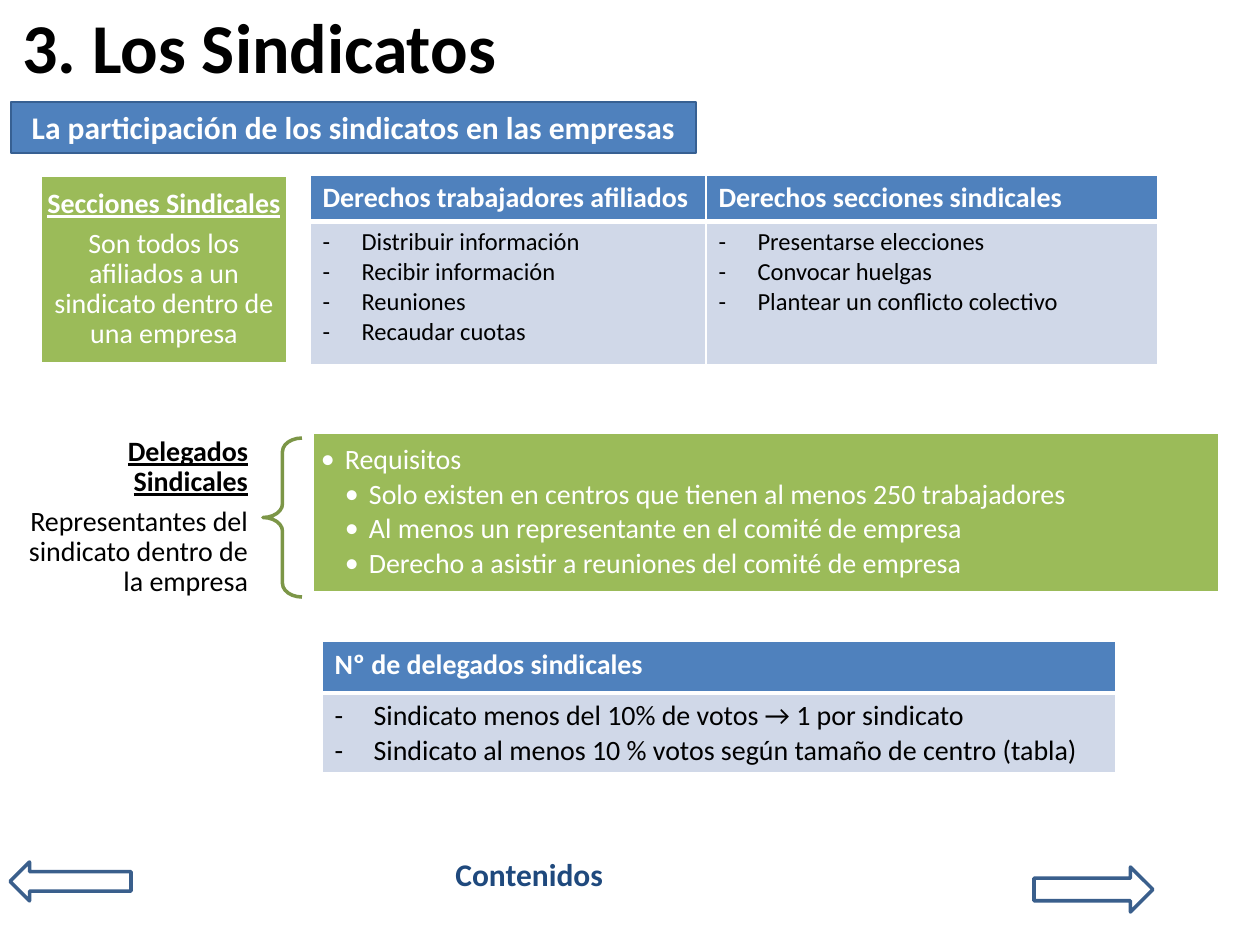
from dataclasses import dataclass

from lxml import etree
from pptx import Presentation
from pptx.dml.color import RGBColor
from pptx.enum.shapes import MSO_SHAPE
from pptx.enum.text import MSO_ANCHOR, PP_ALIGN
from pptx.oxml.ns import qn
from pptx.util import Emu, Pt

EMU_PER_PX = 914400 / 126


@dataclass(frozen=True)
class Theme:
    """Colours, font and type sizes of the slide."""
    font: str = "Calibri"
    black: str = "000000"
    white: str = "FFFFFF"
    blue: str = "4F81BD"
    blue_edge: str = "376092"
    arrow_edge: str = "3A5F8C"
    navy: str = "1F497D"
    pale: str = "D0D8E8"
    green: str = "9BBB59"
    brace: str = "7C9647"
    title: int = 40
    heading: int = 18
    body: int = 16
    small: int = 14


T = Theme()


def px(n):
    """Turn picture pixels into EMU."""
    return Emu(round(n * EMU_PER_PX))


def rgb(value):
    """Turn a hex string into a colour."""
    return RGBColor.from_string(value)


def write(frame, texts, size, color, bold=False, align=None, lead=None,
          after=None, heading=False, bullet=None, indents=()):
    """Fill a frame with paragraphs; heading makes the first bold and underlined."""
    frame.word_wrap = True
    for i, text in enumerate(texts):
        p = frame.paragraphs[0] if i == 0 else frame.add_paragraph()
        p.alignment, p.line_spacing = align, lead
        if after is not None:
            p.space_after = Pt(after)
        run = p.add_run()
        run.text = text
        font = run.font
        font.name, font.size, font.color.rgb = T.font, Pt(size), rgb(color)
        font.bold = bold or (heading and i == 0)
        font.underline = heading and i == 0
        if bullet:
            left, hang = indents[min(i, len(indents) - 1)]
            ppr = p._p.get_or_add_pPr()
            ppr.set("marL", str(px(left)))
            ppr.set("indent", str(-px(hang)))
            etree.SubElement(ppr, qn("a:buFont")).set("typeface", T.font)
            etree.SubElement(ppr, qn("a:buChar")).set("char", bullet)


def add_text(slide, box, texts, size, color, anchor=MSO_ANCHOR.TOP, inset=None, **style):
    """Add a text box."""
    shape = slide.shapes.add_textbox(*map(px, box))
    set_frame(shape.text_frame, anchor, inset)
    write(shape.text_frame, texts, size, color, **style)


def set_frame(frame, anchor, inset=None):
    """Set the anchor and, if given, the horizontal and vertical insets."""
    frame.vertical_anchor = anchor
    if inset:
        frame.margin_left = frame.margin_right = px(inset[0])
        frame.margin_top = frame.margin_bottom = px(inset[1])


def add_shape(slide, kind, box, fill, edge, width):
    """Add a preset shape without shadow."""
    shape = slide.shapes.add_shape(kind, *map(px, box))
    shape.shadow.inherit = False
    if fill:
        shape.fill.solid()
        shape.fill.fore_color.rgb = rgb(fill)
    else:
        shape.fill.background()
    shape.line.color.rgb, shape.line.width = rgb(edge), Pt(width)
    return shape


def set_borders(cell, bottom):
    """Draw white cell borders, with the given bottom width."""
    tcpr = cell._tc.get_or_add_tcPr()
    for i, (side, width) in enumerate((("L", 1), ("R", 1), ("T", 1), ("B", bottom))):
        line = etree.Element(qn("a:ln" + side), w=str(Pt(width)))
        fill = etree.SubElement(line, qn("a:solidFill"))
        etree.SubElement(fill, qn("a:srgbClr")).set("val", T.white)
        tcpr.insert(i, line)


def add_list_table(slide, left, top, widths, heights, columns, size):
    """Add a table with a heading and a dashed list in every column."""
    table = slide.shapes.add_table(2, len(columns), px(left), px(top),
                                   px(sum(widths)), px(sum(heights))).table
    for row, height in zip(table.rows, heights):
        row.height = px(height)
    for c, (width, (heading, items)) in enumerate(zip(widths, columns)):
        table.columns[c].width = px(width)
        head, body = table.cell(0, c), table.cell(1, c)
        for cell, fill, bottom in ((head, T.blue, 3), (body, T.pale, 1)):
            cell.fill.solid()
            cell.fill.fore_color.rgb = rgb(fill)
            set_borders(cell, bottom)
        write(head.text_frame, [heading], T.body, T.white, bold=True)
        write(body.text_frame, items, size, T.black, bullet="-", indents=[(39, 39)])


def add_header(slide, x, y):
    """Title and blue banner."""
    add_text(slide, (x, y, 1250, 79), ["3. Los Sindicatos"], T.title, T.black,
             MSO_ANCHOR.MIDDLE, bold=True)
    banner = add_shape(slide, MSO_SHAPE.RECTANGLE, (x + 1, y + 96, 685, 51),
                       T.blue, T.blue_edge, 0.75)
    set_frame(banner.text_frame, MSO_ANCHOR.TOP)
    write(banner.text_frame, ["La participación de los sindicatos en las empresas"],
          T.heading, T.white, bold=True, align=PP_ALIGN.CENTER)


def add_sections(slide, x, y):
    """Union sections: green definition and table of rights."""
    card = add_shape(slide, MSO_SHAPE.RECTANGLE, (x, y, 248, 189), T.green, T.white, 2)
    set_frame(card.text_frame, MSO_ANCHOR.MIDDLE, (5, 5))
    write(card.text_frame,
          ["Secciones Sindicales",
           "Son todos los afiliados a un sindicato dentro de una empresa"],
          T.body, T.white, align=PP_ALIGN.CENTER, lead=0.9, after=5.6, heading=True)
    add_list_table(slide, x + 270, y, (396, 452), (46, 144), [
        ("Derechos trabajadores afiliados",
         ["Distribuir información", "Recibir información", "Reuniones", "Recaudar cuotas"]),
        ("Derechos secciones sindicales",
         ["Presentarse elecciones", "Convocar huelgas", "Plantear un conflicto colectivo"]),
    ], T.small)


def add_delegates(slide, x, y):
    """Union delegates: definition, brace, requirements and number table."""
    add_text(slide, (x, y, 252, 175),
             ["Delegados Sindicales", "Representantes del sindicato dentro de la empresa"],
             T.body, T.black, MSO_ANCHOR.MIDDLE, (15, 5),
             align=PP_ALIGN.RIGHT, lead=0.9, after=5.6, heading=True)
    brace = add_shape(slide, MSO_SHAPE.LEFT_BRACE, (x + 252, y + 8, 39, 159),
                      None, T.brace, 2)
    brace.adjustments[0] = 0.35
    panel = add_shape(slide, MSO_SHAPE.RECTANGLE, (x + 301, y + 2, 908, 161),
                      T.green, T.white, 2)
    set_frame(panel.text_frame, MSO_ANCHOR.MIDDLE, (9, 9))
    write(panel.text_frame,
          ["Requisitos",
           "Solo existen en centros que tienen al menos 250 trabajadores",
           "Al menos un representante en el comité de empresa",
           "Derecho a asistir a reuniones del comité de empresa"],
          T.body, T.white, align=PP_ALIGN.LEFT, lead=0.9, after=2.4,
          bullet="•", indents=[(24, 24), (48, 24)])
    add_list_table(slide, x + 311, y + 211, (794,), (52, 79), [
        ("Nº de delegados sindicales",
         ["Sindicato menos del 10% de votos → 1 por sindicato",
          "Sindicato al menos 10 % votos según tamaño de centro (tabla)"]),
    ], T.body)


def add_navigation(slide, x, y):
    """Arrows and contents label at the foot."""
    add_text(slide, (x + 433, y, 181, 50), ["Contenidos"], T.heading, T.navy, bold=True)
    for kind, box in ((MSO_SHAPE.LEFT_ARROW, (x, y + 13, 121, 39)),
                      (MSO_SHAPE.RIGHT_ARROW, (x + 1024, y + 18, 119, 45))):
        add_shape(slide, kind, box, None, T.arrow_edge, 2)


def main():
    """Build and save the slide."""
    prs = Presentation()
    prs.slide_width, prs.slide_height = px(1260), px(945)
    slide = prs.slides.add_slide(prs.slide_layouts[6])
    add_header(slide, 10, 6)
    add_sections(slide, 40, 175)
    add_delegates(slide, 11, 430)
    add_navigation(slide, 10, 849)
    prs.save("out.pptx")


main()
